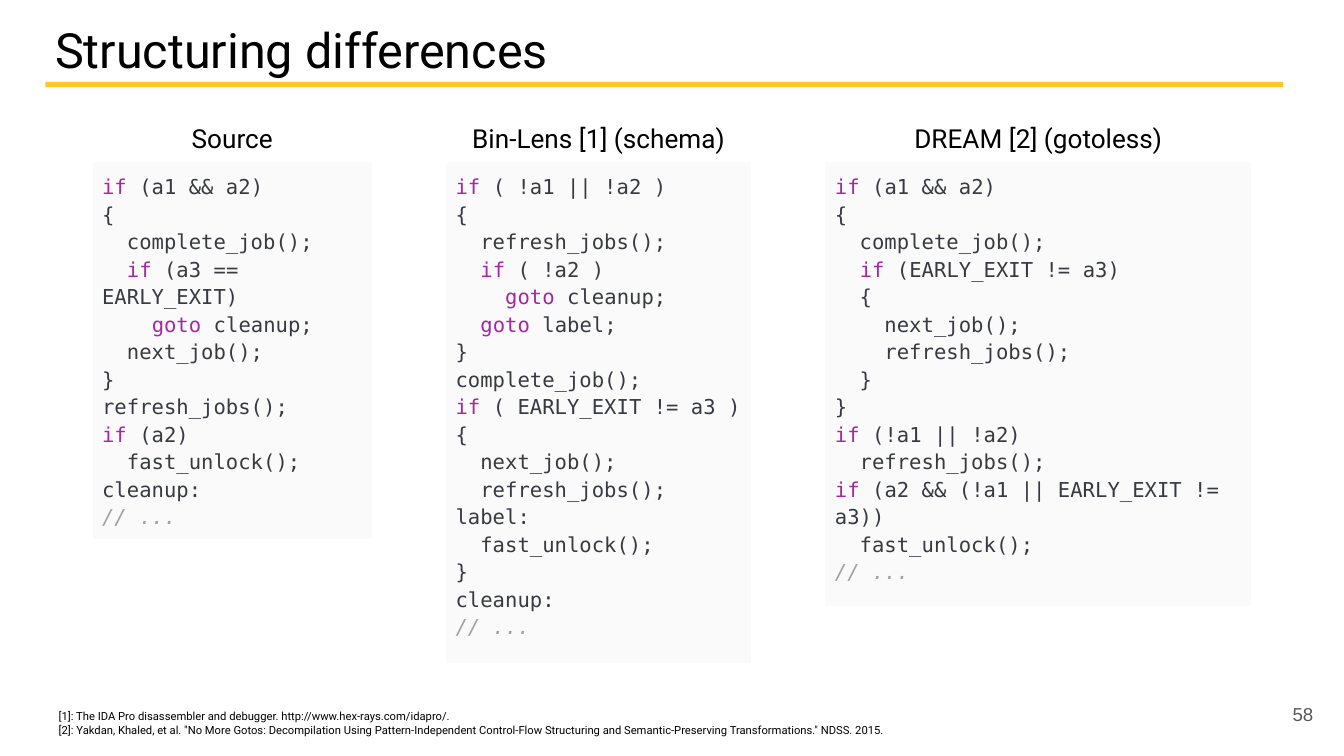
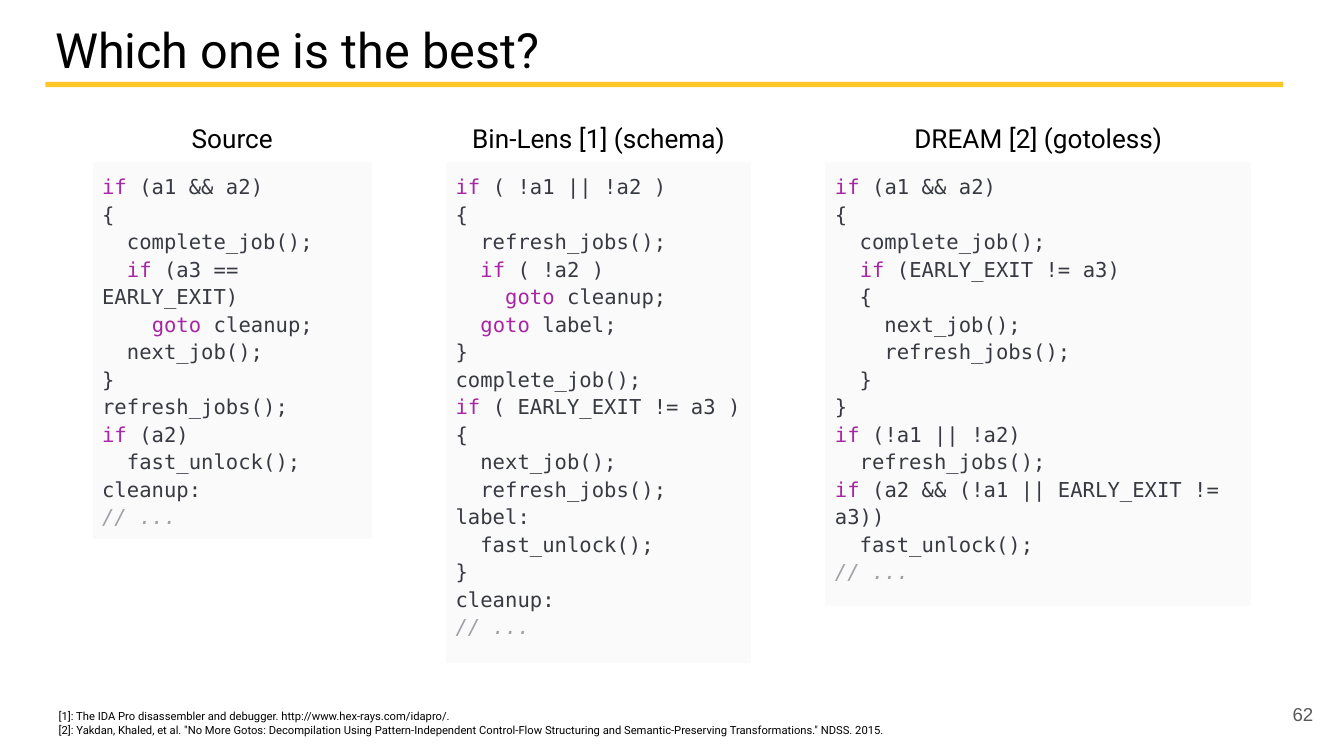
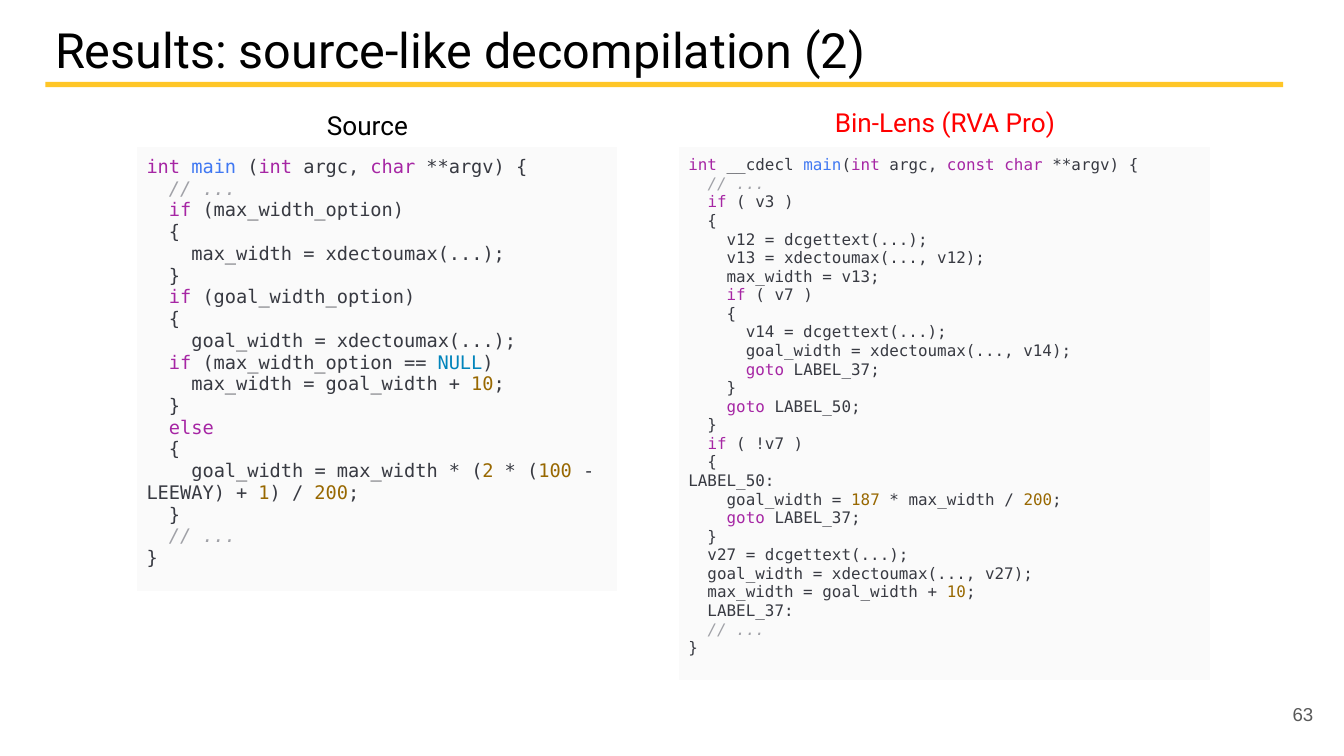
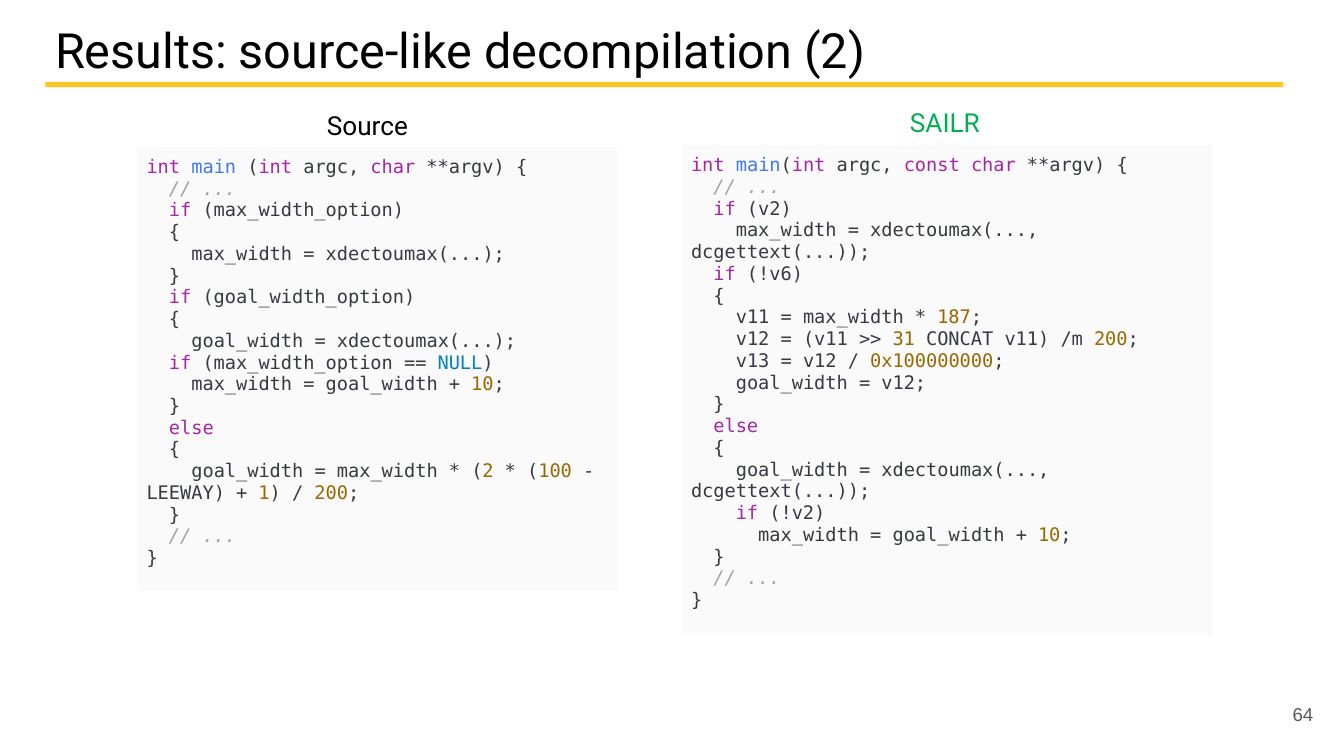
import copy
import dataclasses
import itertools

import lxml.etree
import pptx
import pptx.dml.color
import pptx.enum.shapes
import pptx.enum.text
import pptx.oxml.ns
import pptx.util

Cm = pptx.util.Cm
Pt = pptx.util.Pt
RGBColor = pptx.dml.color.RGBColor
ALIGN = pptx.enum.text.PP_ALIGN
ANCHOR = pptx.enum.text.MSO_ANCHOR

BLACK = RGBColor(0x00, 0x00, 0x00)
GOLD = RGBColor(0xFF, 0xC6, 0x27)
RED = RGBColor(0xFF, 0x00, 0x00)
GREEN = RGBColor(0x00, 0xB0, 0x50)
GRAY = RGBColor(0x59, 0x59, 0x59)
CODE_BACKGROUND = RGBColor(0xFA, 0xFA, 0xFA)
CODE_PLAIN = RGBColor(0x38, 0x3A, 0x42)
CODE_KEYWORD = RGBColor(0xA6, 0x26, 0xA4)
CODE_FUNCTION = RGBColor(0x40, 0x78, 0xF2)
CODE_NUMBER = RGBColor(0x98, 0x68, 0x01)
CODE_CONSTANT = RGBColor(0x01, 0x84, 0xBB)
CODE_COMMENT = RGBColor(0xA0, 0xA1, 0xA7)

WORD_COLORS = {
    **dict.fromkeys(("if", "else", "goto", "int", "char", "const"), CODE_KEYWORD),
    "main": CODE_FUNCTION,
    "NULL": CODE_CONSTANT,
}

TEXT_FONT = "Roboto"
CODE_FONT = "DejaVu Sans Mono"
NUMBER_FONT = "Arial"

SCHEDULE_SOURCE = """\
if (a1 && a2)
{
  complete_job();
  if (a3 == EARLY_EXIT)
    goto cleanup;
  next_job();
}
refresh_jobs();
if (a2)
  fast_unlock();
cleanup:
// ..."""

SCHEDULE_SCHEMA = """\
if ( !a1 || !a2 )
{
  refresh_jobs();
  if ( !a2 )
    goto cleanup;
  goto label;
}
complete_job();
if ( EARLY_EXIT != a3 )
{
  next_job();
  refresh_jobs();
label:
  fast_unlock();
}
cleanup:
// ..."""

SCHEDULE_GOTOLESS = """\
if (a1 && a2)
{
  complete_job();
  if (EARLY_EXIT != a3)
  {
    next_job();
    refresh_jobs();
  }
}
if (!a1 || !a2)
  refresh_jobs();
if (a2 && (!a1 || EARLY_EXIT != a3))
  fast_unlock();
// ..."""

WIDTH_SOURCE = """\
int main (int argc, char **argv) {
  // ...
  if (max_width_option)
  {
    max_width = xdectoumax(...);
  }
  if (goal_width_option)
  {
    goal_width = xdectoumax(...);
  if (max_width_option == NULL)
    max_width = goal_width + 10;
  }
  else
  {
    goal_width = max_width * (2 * (100 - LEEWAY) + 1) / 200;
  }
  // ...
}"""

WIDTH_COMMERCIAL = """\
int __cdecl main(int argc, const char **argv) {
  // ...
  if ( v3 )
  {
    v12 = dcgettext(...);
    v13 = xdectoumax(..., v12);
    max_width = v13;
    if ( v7 )
    {
      v14 = dcgettext(...);
      goal_width = xdectoumax(..., v14);
      goto LABEL_37;
    }
    goto LABEL_50;
  }
  if ( !v7 )
  {
LABEL_50:
    goal_width = 187 * max_width / 200;
    goto LABEL_37;
  }
  v27 = dcgettext(...);
  goal_width = xdectoumax(..., v27);
  max_width = goal_width + 10;
  LABEL_37:
  // ...
}"""

WIDTH_SAILR = """\
int main(int argc, const char **argv) {
  // ...
  if (v2)
    max_width = xdectoumax(..., dcgettext(...));
  if (!v6)
  {
    v11 = max_width * 187;
    v12 = (v11 >> 31 CONCAT v11) /m 200;
    v13 = v12 / 0x100000000;
    goal_width = v12;
  }
  else
  {
    goal_width = xdectoumax(..., dcgettext(...));
    if (!v2)
      max_width = goal_width + 10;
  }
  // ...
}"""

REFERENCES = (
    "[1]: The IDA Pro disassembler and debugger. http://www.hex-rays.com/idapro/.",
    '[2]: Yakdan, Khaled, et al. "No More Gotos: Decompilation Using Pattern-Independent '
    'Control-Flow Structuring and Semantic-Preserving Transformations." NDSS. 2015.',
)


@dataclasses.dataclass
class Panel:
    heading: str
    heading_box: tuple
    code: str
    code_box: tuple
    size: float = 10
    spacing: float = 1.0
    color: RGBColor = BLACK


def schedule_panel(heading, code, left, width, height):
    return Panel(heading, (left, 2.18, width, 0.86), code, (left, 3.07, width, height), 11, 1.15)


SCHEDULE_PANELS = (
    schedule_panel("Source", SCHEDULE_SOURCE, 1.75, 5.28, 7.09),
    schedule_panel("Bin-Lens [1] (schema)", SCHEDULE_SCHEMA, 8.43, 5.77, 9.19),
    schedule_panel("DREAM [2] (gotoless)", SCHEDULE_GOTOLESS, 15.6, 8.05, 8.13),
)
RIGHT_HEADING_BOX = (12.88, 1.88, 9.96, 0.89)
SOURCE_PANEL = Panel("Source", (2.26, 1.93, 9.37, 0.89), WIDTH_SOURCE, (2.59, 2.77, 9.07, 8.41))
COMMERCIAL_PANEL = Panel("Bin-Lens (RVA Pro)", RIGHT_HEADING_BOX, WIDTH_COMMERCIAL,
                         (12.83, 2.77, 10.03, 10.06), size=8.5, color=RED)
SAILR_PANEL = Panel("SAILR", RIGHT_HEADING_BOX, WIDTH_SAILR,
                    (12.88, 2.74, 10.03, 9.25), color=GREEN)


def to_lengths(box):
    return [Cm(value) for value in box]


def add_run(paragraph, text, size, color, font=TEXT_FONT, italic=None):
    run = paragraph.add_run()
    run.text = text
    run.font.name = font
    run.font.size = Pt(size)
    run.font.color.rgb = color
    run.font.italic = italic
    return run


def set_margins(target, horizontal, vertical):
    target.margin_left = target.margin_right = Cm(horizontal)
    target.margin_top = target.margin_bottom = Cm(vertical)


def add_text(slide, box, lines, size, color=BLACK, font=TEXT_FONT,
             align=ALIGN.LEFT, anchor=ANCHOR.TOP, margins=(0.25, 0.25)):
    frame = slide.shapes.add_textbox(*to_lengths(box)).text_frame
    frame.word_wrap = True
    frame.vertical_anchor = anchor
    set_margins(frame, *margins)
    for index, line in enumerate(lines):
        paragraph = frame.add_paragraph() if index else frame.paragraphs[0]
        paragraph.alignment = align
        add_run(paragraph, line, size, color, font)


def add_title(slide, text):
    title = slide.shapes.title
    title.left, title.top, title.width, title.height = to_lengths((0.86, 0.28, 23.39, 1.12))
    frame = title.text_frame
    frame.word_wrap = True
    frame.auto_size = pptx.enum.text.MSO_AUTO_SIZE.NONE
    frame.vertical_anchor = ANCHOR.TOP
    set_margins(frame, 0.18, 0.1)
    frame.paragraphs[0].alignment = ALIGN.LEFT
    add_run(frame.paragraphs[0], text, 26, BLACK)


def add_title_rule(slide):
    rule = slide.shapes.add_shape(pptx.enum.shapes.MSO_SHAPE.RECTANGLE,
                                  *to_lengths((0.86, 1.55, 23.39, 0.1)))
    rule.shadow.inherit = False
    rule.fill.solid()
    rule.fill.fore_color.rgb = GOLD
    rule.line.fill.background()


def word_color(word):
    return CODE_NUMBER if word[0].isdigit() else WORD_COLORS.get(word, CODE_PLAIN)


def colored_pieces(line):
    code = line.lstrip()
    if code.startswith("//"):
        indent = line[:len(line) - len(code)]
        return [piece for piece in ((indent, CODE_PLAIN), (code, CODE_COMMENT)) if piece[0]]
    words = ["".join(group) for _, group in
             itertools.groupby(line, lambda letter: letter.isalnum() or letter == "_")]
    return [("".join(group), color) for color, group in itertools.groupby(words, word_color)]


def add_code_lines(paragraph, code, size):
    run = None
    for line in code.split("\n"):
        if run is not None:
            paragraph.add_line_break()
            paragraph._p[-1].append(copy.deepcopy(run._r.rPr))
        for text, color in colored_pieces(line):
            run = add_run(paragraph, text, size, color, CODE_FONT, color == CODE_COMMENT)


def add_clear_borders(cell):
    qn = pptx.oxml.ns.qn
    properties = cell._tc.get_or_add_tcPr()
    for index, side in enumerate(("lnL", "lnR", "lnT", "lnB")):
        border = lxml.etree.Element(qn("a:" + side), w=str(Pt(0.75)))
        fill = lxml.etree.SubElement(border, qn("a:solidFill"))
        color = lxml.etree.SubElement(fill, qn("a:srgbClr"), val=str(BLACK))
        lxml.etree.SubElement(color, qn("a:alpha"), val="0")
        properties.insert(index, border)


def add_code_table(slide, panel):
    table = slide.shapes.add_table(1, 1, *to_lengths(panel.code_box)).table
    table.first_row = False
    table.horz_banding = False
    cell = table.cell(0, 0)
    cell.fill.solid()
    cell.fill.fore_color.rgb = CODE_BACKGROUND
    add_clear_borders(cell)
    set_margins(cell, 0.18, 0.18)
    paragraph = cell.text_frame.paragraphs[0]
    paragraph.line_spacing = panel.spacing
    add_code_lines(paragraph, panel.code, panel.size)


def add_panel(slide, panel):
    add_code_table(slide, panel)
    add_text(slide, panel.heading_box, [panel.heading], 14, panel.color,
             align=ALIGN.CENTER, margins=(0.25, 0.13))


def add_comparison_slide(presentation, title, number, panels, references=()):
    slide = presentation.slides.add_slide(presentation.slide_layouts.get_by_name("Title Only"))
    add_title(slide, title)
    add_title_rule(slide)
    for panel in panels:
        add_panel(slide, panel)
    if references:
        add_text(slide, (0.86, 13.16, 17.3, 0.94), references, 6)
    add_text(slide, (23.55, 12.95, 1.52, 1.09), [str(number)], 10, GRAY, NUMBER_FONT,
             ALIGN.RIGHT, ANCHOR.MIDDLE)


def main():
    presentation = pptx.Presentation()
    presentation.slide_width = Cm(25.4)
    presentation.slide_height = Cm(14.29)
    add_comparison_slide(presentation, "Structuring differences", 58, SCHEDULE_PANELS, REFERENCES)
    add_comparison_slide(presentation, "Which one is the best?", 62, SCHEDULE_PANELS, REFERENCES)
    results_title = "Results: source-like decompilation (2)"
    add_comparison_slide(presentation, results_title, 63, (SOURCE_PANEL, COMMERCIAL_PANEL))
    add_comparison_slide(presentation, results_title, 64, (SOURCE_PANEL, SAILR_PANEL))
    presentation.save("out.pptx")


if __name__ == "__main__":
    main()
